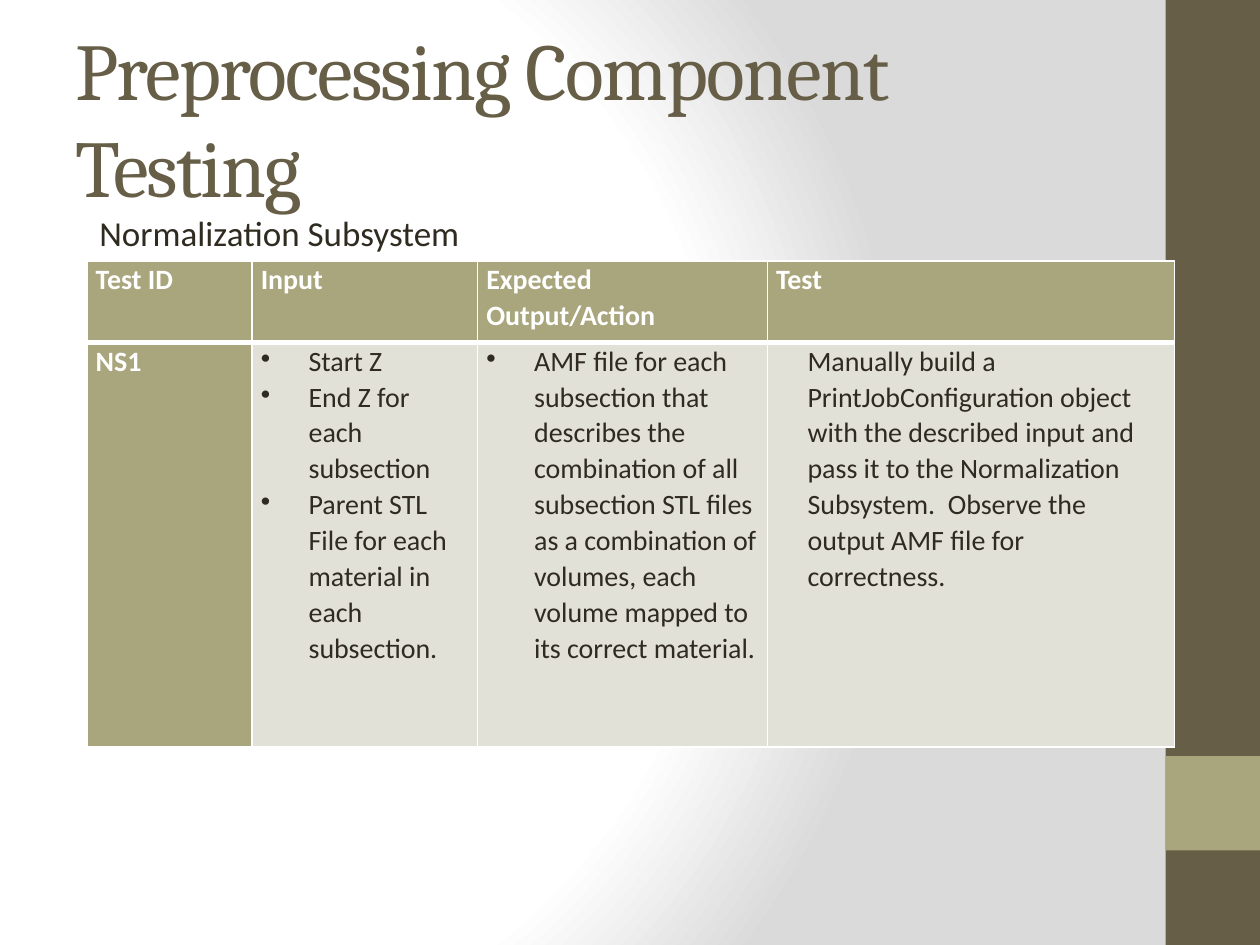
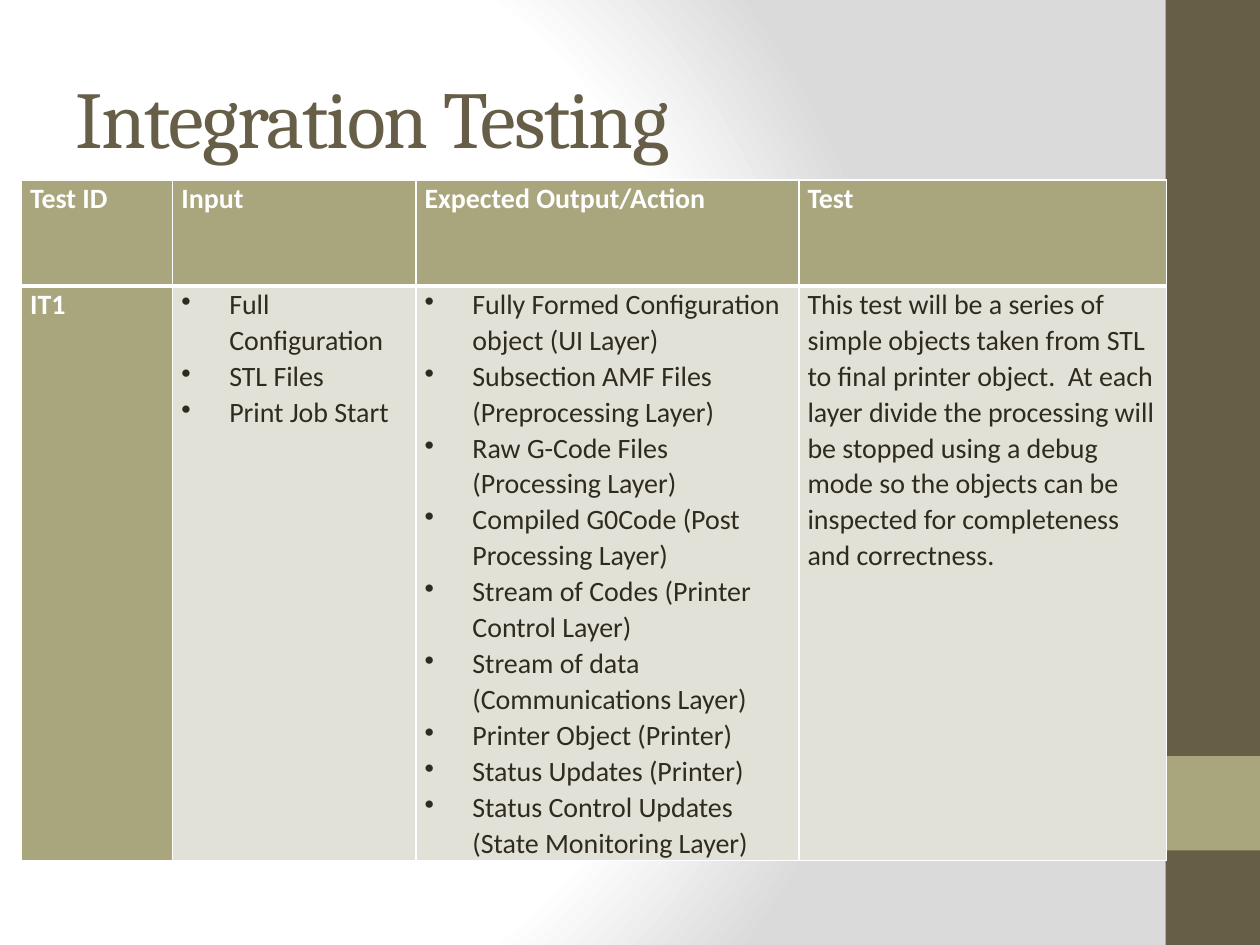
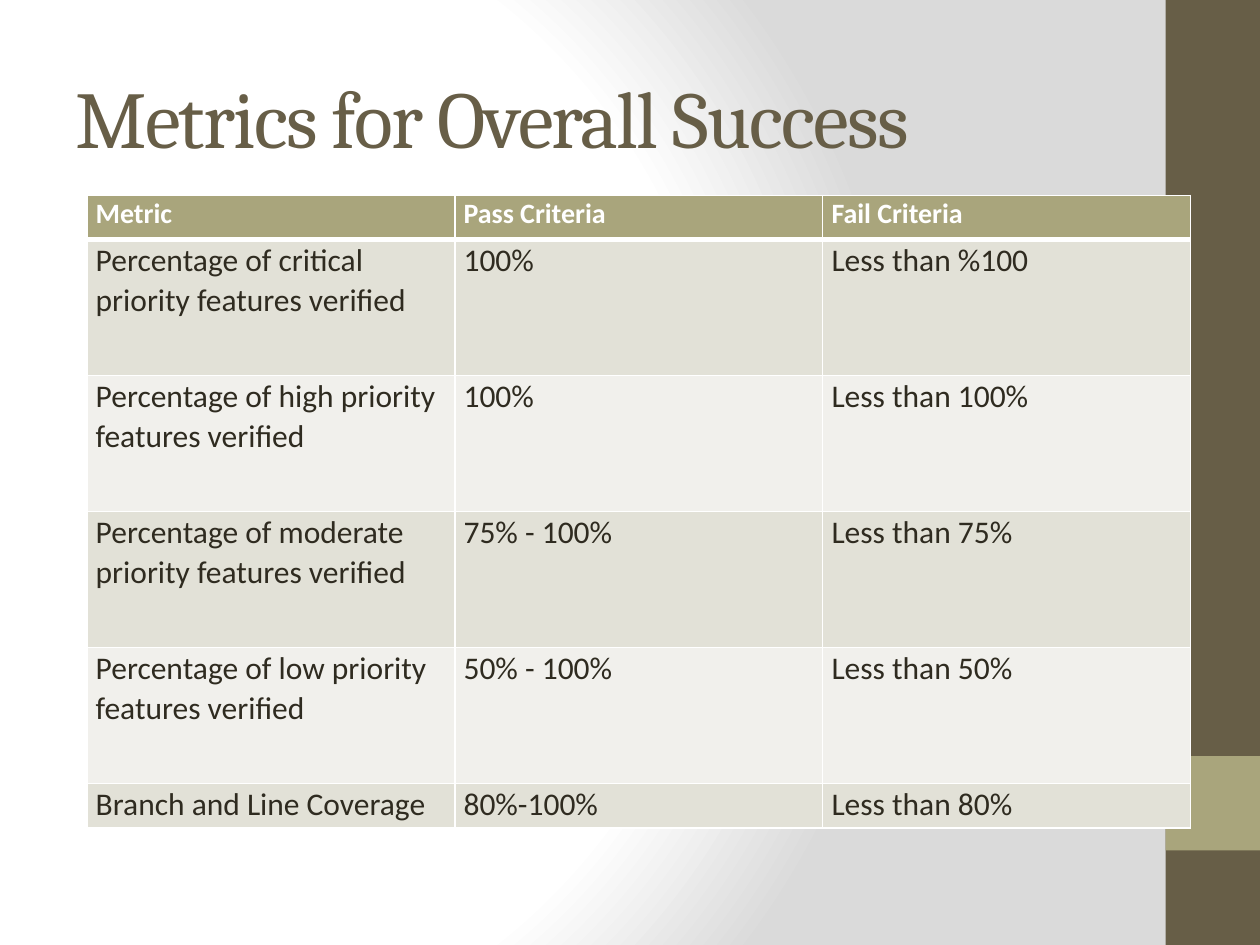
"""Build three slides on component tests, integration tests and success metrics."""
from dataclasses import dataclass

from pptx import Presentation
from pptx.dml.color import RGBColor as Color
from pptx.enum.shapes import MSO_SHAPE as Shape
from pptx.enum.text import MSO_ANCHOR as Anchor, MSO_AUTO_SIZE as AutoSize, PP_ALIGN as Align
from pptx.oxml import parse_xml
from pptx.oxml.ns import nsdecls, qn
from pptx.util import Inches, Pt


@dataclass(frozen=True)
class Theme:
    brown: str = "675E47"
    olive: str = "A9A57C"
    ink: str = "2F2B20"
    white: str = "FFFFFF"
    grey: str = "DADADA"
    band_dark: str = "E2E1D7"
    band_light: str = "F1F0EC"
    heading_font: str = "Cambria"
    body_font: str = "Calibri"
    title_size: int = 46
    subtitle_size: int = 20
    metric_size: int = 18
    cell_size: int = 16


theme = Theme()


def write(frame, text, size=theme.cell_size, color=theme.ink, font=theme.body_font, bold=False,
          align=Align.LEFT, line_spacing=1.0, indent=0, letter_spacing=0):
    """Fill a text frame; a list of texts becomes a bulleted list."""
    bulleted = isinstance(text, list)
    frame.word_wrap = True
    for index, line in enumerate(text if bulleted else [text]):
        para = frame.add_paragraph() if index else frame.paragraphs[0]
        para.alignment = align
        para.line_spacing = line_spacing
        properties = para._p.get_or_add_pPr()
        if bulleted:
            properties.set("marL", str(Inches(0.38)))
            properties.set("indent", str(Inches(-0.38)))
            properties.append(parse_xml(f'<a:buChar {nsdecls("a")} char="•"/>'))
        elif indent:
            properties.set("marL", str(Inches(indent)))
            properties.set("indent", "0")
        span = para.add_run()
        span.text = line
        span.font.name = font
        span.font.size = Pt(size)
        span.font.bold = bold
        span.font.color.rgb = Color.from_string(color)
        if letter_spacing:
            span._r.get_or_add_rPr().set("spc", str(letter_spacing * 100))


def format_cell(cell, fill, borders):
    """Set the margins, fill and white borders of a table cell."""
    cell.margin_left = cell.margin_right = Inches(0.07)
    cell.margin_top = cell.margin_bottom = 0
    properties = cell._tc.get_or_add_tcPr()
    for side, width in borders.items():
        properties.append(parse_xml(
            f'<a:ln{side} {nsdecls("a")} w="{Pt(width)}"><a:solidFill>'
            f'<a:srgbClr val="{theme.white}"/></a:solidFill></a:ln{side}>'))
    cell.fill.solid()
    cell.fill.fore_color.rgb = Color.from_string(fill)


test_header = ["Test ID", "Input", "Expected Output/Action", "Test"]
pages = [
    dict(
        title="Preprocessing Component Testing",
        subtitle="Normalization Subsystem",
        left=0.69, top=2.07, columns=[1.31, 1.79, 2.3, 3.23], heights=[0.65, 3.21],
        tests=True, test_indent=0.25,
        rows=[test_header, [
            "NS1",
            ["Start Z", "End Z for each subsection",
             "Parent STL File for each material in each subsection."],
            ["AMF file for each subsection that describes the combination of all subsection STL "
             "files as a combination of volumes, each volume mapped to its correct material."],
            "Manually build a PrintJobConfiguration object with the described input and pass it "
            "to the Normalization Subsystem.  Observe the output AMF file for correctness.",
        ]],
    ),
    dict(
        title="Integration Testing",
        left=0.17, top=1.43, columns=[1.2, 1.93, 3.04, 2.92], heights=[0.84, 4.48],
        tests=True,
        rows=[test_header, [
            "IT1",
            ["Full Configuration", "STL Files", "Print Job Start"],
            ["Fully Formed Configuration object (UI Layer)",
             "Subsection AMF Files (Preprocessing Layer)",
             "Raw G-Code Files (Processing Layer)",
             "Compiled G0Code (Post Processing Layer)",
             "Stream of Codes (Printer Control Layer)",
             "Stream of data (Communications Layer)",
             "Printer Object (Printer)",
             "Status Updates (Printer)",
             "Status Control Updates (State Monitoring Layer)"],
            "This test will be a series of simple objects taken from STL to final printer "
            "object.  At each layer divide the processing will be stopped using a debug mode so "
            "the objects can be inspected for completeness and correctness.",
        ]],
    ),
    dict(
        title="Metrics for Overall Success",
        left=0.69, top=1.55, columns=[2.92] * 3, heights=[0.35] + [1.08] * 4 + [0.35],
        tests=False,
        rows=[
            ["Metric", "Pass Criteria", "Fail Criteria"],
            ["Percentage of critical priority features verified", "100%", "Less than %100"],
            ["Percentage of high priority features verified", "100%", "Less than 100%"],
            ["Percentage of moderate priority features verified", "75% - 100%", "Less than 75%"],
            ["Percentage of low priority features verified", "50% - 100%", "Less than 50%"],
            ["Branch and Line Coverage", "80%-100%", "Less than 80%"],
        ],
    ),
]

deck = Presentation()
deck.slide_width, deck.slide_height = Inches(10), Inches(7.5)
layout = deck.slide_layouts[5]
slides = [deck.slides.add_slide(layout) for page in pages]

master = deck.slide_master
master.background.fill.solid()
background = master.element.find(".//" + qn("p:bgPr"))
stops = "".join(
    f'<a:gs pos="{position * 1000}"><a:srgbClr val="{color}"/></a:gs>'
    for position, color in [(0, theme.white), (75, theme.white), (100, theme.grey)])
background.replace(background[0], parse_xml(
    f'<a:gradFill {nsdecls("a")} rotWithShape="1"><a:gsLst>{stops}</a:gsLst><a:path path="circle">'
    '<a:fillToRect l="20000" t="50000" r="100000" b="50000"/></a:path></a:gradFill>'))

for top, height, color in [(0, 7.5, theme.brown), (6, 0.75, theme.olive)]:
    band = slides[0].shapes.add_shape(
        Shape.RECTANGLE, Inches(9.25), Inches(top), Inches(0.75), Inches(height))
    band.shadow.inherit = False
    band.fill.solid()
    band.fill.fore_color.rgb = Color.from_string(color)
    band.line.fill.background()
    master.shapes.element.append(band.element)

for slide, page in zip(slides, pages):
    title = slide.shapes.title
    title.left, title.top = Inches(0.5), Inches(0.3)
    title.width, title.height = Inches(8.33), Inches(1.25)
    title.text_frame.auto_size = AutoSize.NONE
    title.text_frame.vertical_anchor = Anchor.MIDDLE
    write(title.text_frame, page["title"], size=theme.title_size, color=theme.brown,
          font=theme.heading_font, letter_spacing=-1)

    rows, columns, heights = page["rows"], page["columns"], page["heights"]
    table = slide.shapes.add_table(
        len(rows), len(columns), Inches(page["left"]), Inches(page["top"]),
        Inches(sum(columns)), Inches(sum(heights))).table
    for column, width in zip(table.columns, columns):
        column.width = Inches(width)
    for row, height in zip(table.rows, heights):
        row.height = Inches(height)

    for row_index, texts in enumerate(rows):
        is_header = row_index == 0
        borders = dict(L=1, R=1, T=1, B=3) if is_header else dict(L=1, R=1, B=1)
        for column_index, text in enumerate(texts):
            is_label = is_header or (page["tests"] and column_index == 0)
            band_fill = theme.band_dark if row_index % 2 else theme.band_light
            cell = table.cell(row_index, column_index)
            format_cell(cell, theme.olive if is_label else band_fill, borders)
            write(cell.text_frame, text,
                  size=theme.cell_size if is_header or page["tests"] else theme.metric_size,
                  color=theme.white if is_label else theme.ink,
                  bold=is_label,
                  align=Align.JUSTIFY if is_label and page["tests"] else Align.LEFT,
                  line_spacing=1.05,
                  indent=page.get("test_indent", 0) if not is_label else 0)

    if "subtitle" in page:
        box = slide.shapes.add_textbox(Inches(0.69), Inches(1.63), Inches(8.62), Inches(0.44))
        write(box.text_frame, page["subtitle"], size=theme.subtitle_size)

deck.save("out.pptx")
